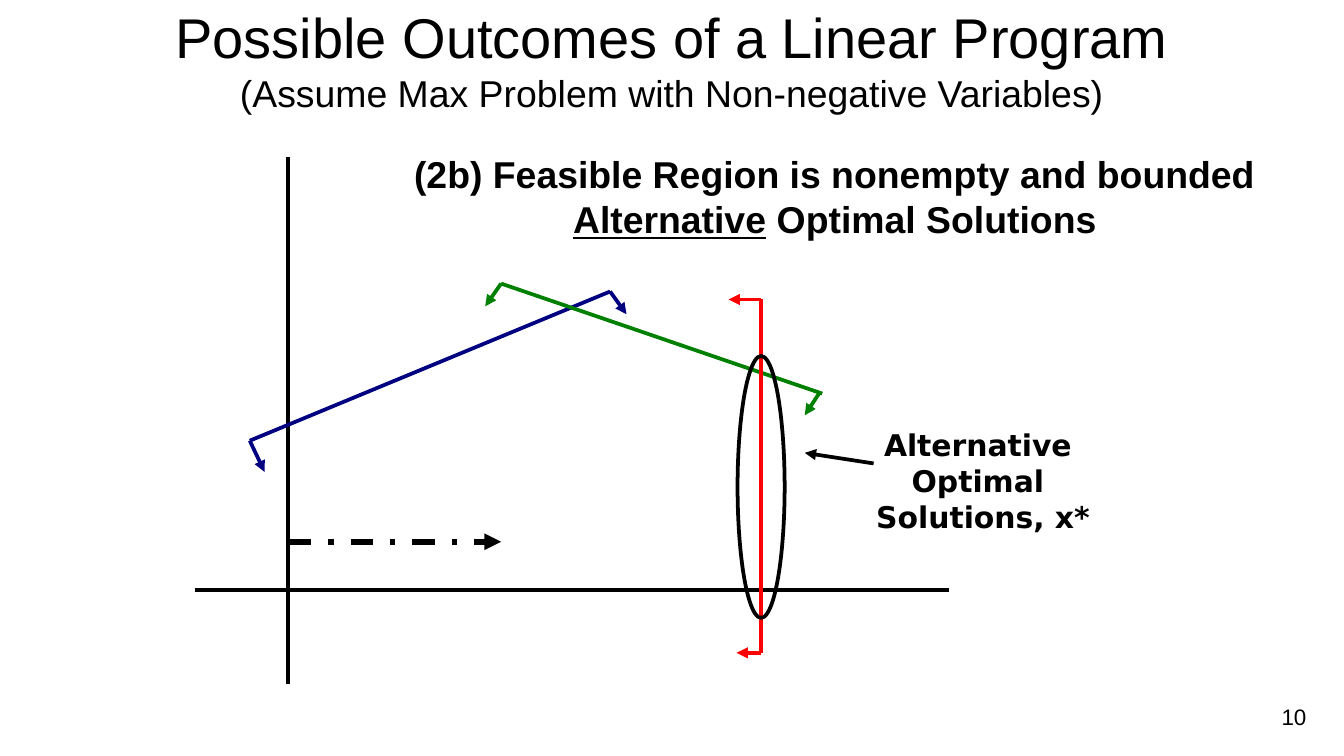
from lxml.etree import SubElement
from pptx import Presentation
from pptx.dml.color import RGBColor
from pptx.enum.dml import MSO_LINE
from pptx.enum.shapes import MSO_CONNECTOR, MSO_SHAPE
from pptx.enum.text import MSO_ANCHOR, MSO_AUTO_SIZE, PP_ALIGN
from pptx.oxml.ns import qn
from pptx.util import Cm, Pt

BLACK, NAVY, GREEN, RED = "000000", "000080", "008000", "FF0000"

# Positions and sizes in cm; \v is a line break within a paragraph
TITLE = "Possible Outcomes of a Linear Program\v(Assume Max Problem with Non-negative Variables)"
TITLE_BOX = (1.27, 0.15, 22.86, 1.93)
HEADING = [("(2b) Feasible Region is nonempty and bounded\v", False),
           ("Alternative", True), (" Optimal Solutions", False)]
HEADING_BOX = (6.98, 2.74, 17.6, 1.96)
LABEL = "Alternative \vOptimal \vSolutions, x*"
LABEL_BOX = (16.13, 7.95, 4.9, 2.31)
NUMBER_BOX = (19.02, 13.16, 5.92, 0.76)

AXES = [((5.44, 2.97), (5.44, 12.93)), ((3.68, 11.15), (17.93, 11.15))]
# Each constraint: colour, its line, then the arrows to its feasible side
CONSTRAINTS = [
    (NAVY, ((4.72, 8.33), (11.53, 5.51)),
     [((4.72, 8.33), (5.0, 8.92)), ((11.53, 5.51), (11.84, 5.94))]),
    (GREEN, ((9.47, 5.36), (15.54, 7.44)),
     [((9.47, 5.36), (9.17, 5.79)), ((15.49, 7.42), (15.21, 7.85))]),
    (RED, ((14.38, 5.66), (14.38, 12.34)),
     [((14.38, 5.66), (13.77, 5.66)), ((14.38, 12.34), (13.92, 12.34))]),
]
OBJECTIVE = ((5.46, 10.24), (9.47, 10.24))
OPTIMAL_EDGE = (13.94, 6.73, 0.89, 4.95)
POINTER = ((16.51, 8.76), (15.21, 8.56))


def rgb(value):
    return RGBColor.from_string(value)


def cm(values):
    return [Cm(v) for v in values]


def style_run(r, size, name="Arial", bold=False):
    r.font.size, r.font.name, r.font.bold = Pt(size), name, bold
    r.font.color.rgb = rgb(BLACK)


def add_line(ends, color=BLACK, width=2, arrow=False, dash=None):
    start, end = ends
    s = slide.shapes.add_connector(MSO_CONNECTOR.STRAIGHT, *cm(start + end))
    s.line.color.rgb = rgb(color)
    s.line.width = Pt(width)
    if dash:
        s.line.dash_style = dash
    if arrow:
        SubElement(s.line._get_or_add_ln(), qn("a:tailEnd"), type="triangle")
    SubElement(s._element.spPr, qn("a:effectLst"))


def add_text(box, align, anchor=MSO_ANCHOR.TOP):
    """Add a wrapping text box and return its first paragraph."""
    tf = slide.shapes.add_textbox(*cm(box)).text_frame
    tf.word_wrap = True
    tf.vertical_anchor = anchor
    p = tf.paragraphs[0]
    p.alignment = align
    return p


prs = Presentation()
prs.slide_width, prs.slide_height = Cm(25.4), Cm(14.29)
slide = prs.slides.add_slide(prs.slide_layouts[5])

title = slide.shapes.title
title.left, title.top, title.width, title.height = cm(TITLE_BOX)
tf = title.text_frame
tf.auto_size = MSO_AUTO_SIZE.NONE
tf.vertical_anchor = MSO_ANCHOR.MIDDLE
p = tf.paragraphs[0]
p.text = TITLE
p.alignment = PP_ALIGN.CENTER
for r, size in zip(p.runs, (30, 20)):
    style_run(r, size)

p = add_text(NUMBER_BOX, PP_ALIGN.RIGHT, MSO_ANCHOR.MIDDLE)
p.text = "10"
style_run(p.runs[0], 12)

p = add_text(HEADING_BOX, PP_ALIGN.CENTER)
for text, underline in HEADING:
    r = p.add_run()
    r.text = text.rstrip("\v")
    r.font.underline = underline
    style_run(r, 20, bold=True)
    if text.endswith("\v"):
        p.add_line_break()

for axis in AXES:
    add_line(axis)
for color, edge, arrows in CONSTRAINTS:
    add_line(edge, color)
    for arrow in arrows:
        add_line(arrow, color, arrow=True)
add_line(OBJECTIVE, width=3, arrow=True, dash=MSO_LINE.DASH_DOT)

sp = slide.shapes.add_shape(MSO_SHAPE.OVAL, *cm(OPTIMAL_EDGE))
sp.shadow.inherit = False
sp.fill.background()
sp.line.color.rgb = rgb(BLACK)
sp.line.width = Pt(2)
add_line(POINTER, arrow=True)

p = add_text(LABEL_BOX, PP_ALIGN.CENTER)
p.text = LABEL
for r in p.runs:
    style_run(r, 16, "DejaVu Sans", bold=True)

prs.save("out.pptx")
